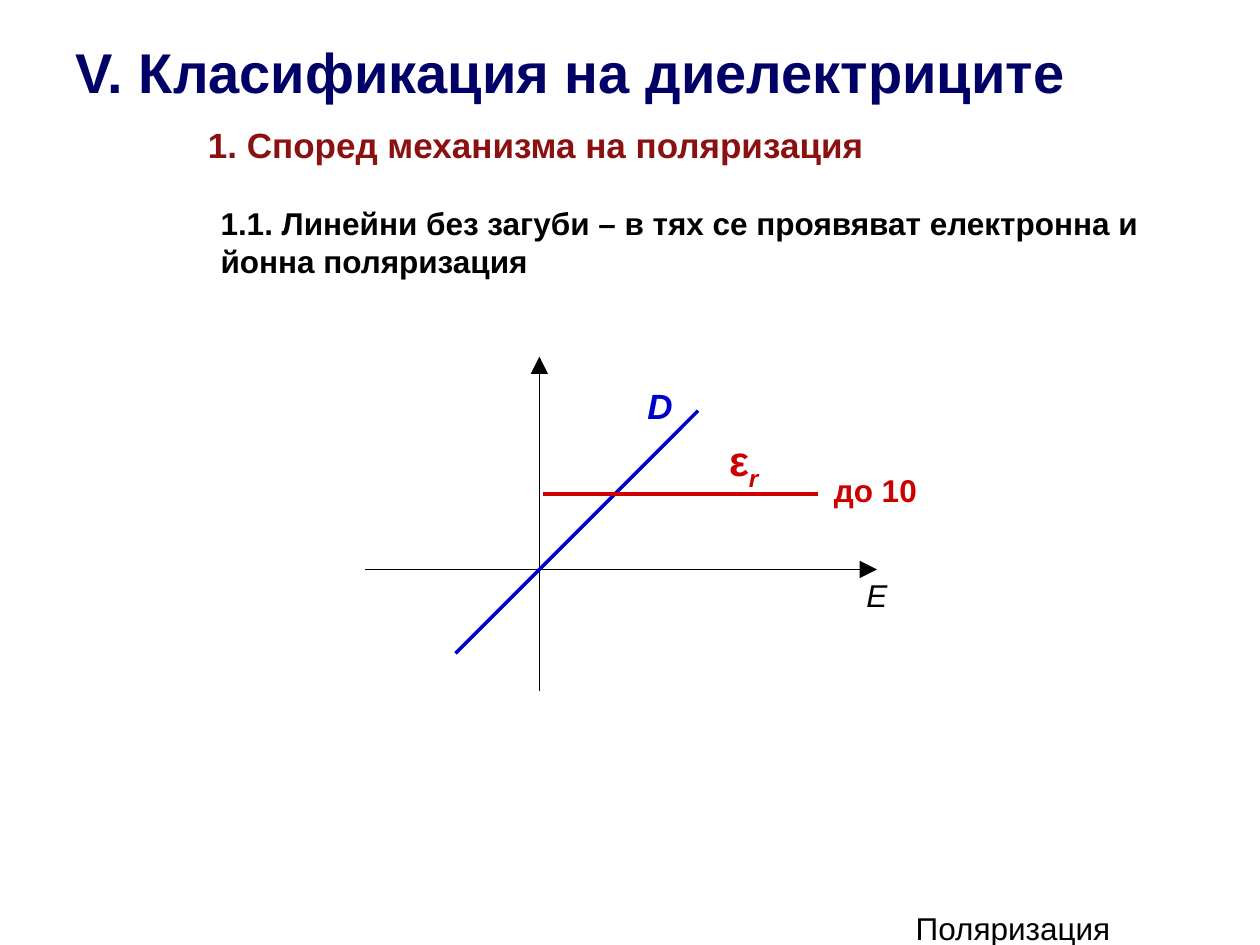
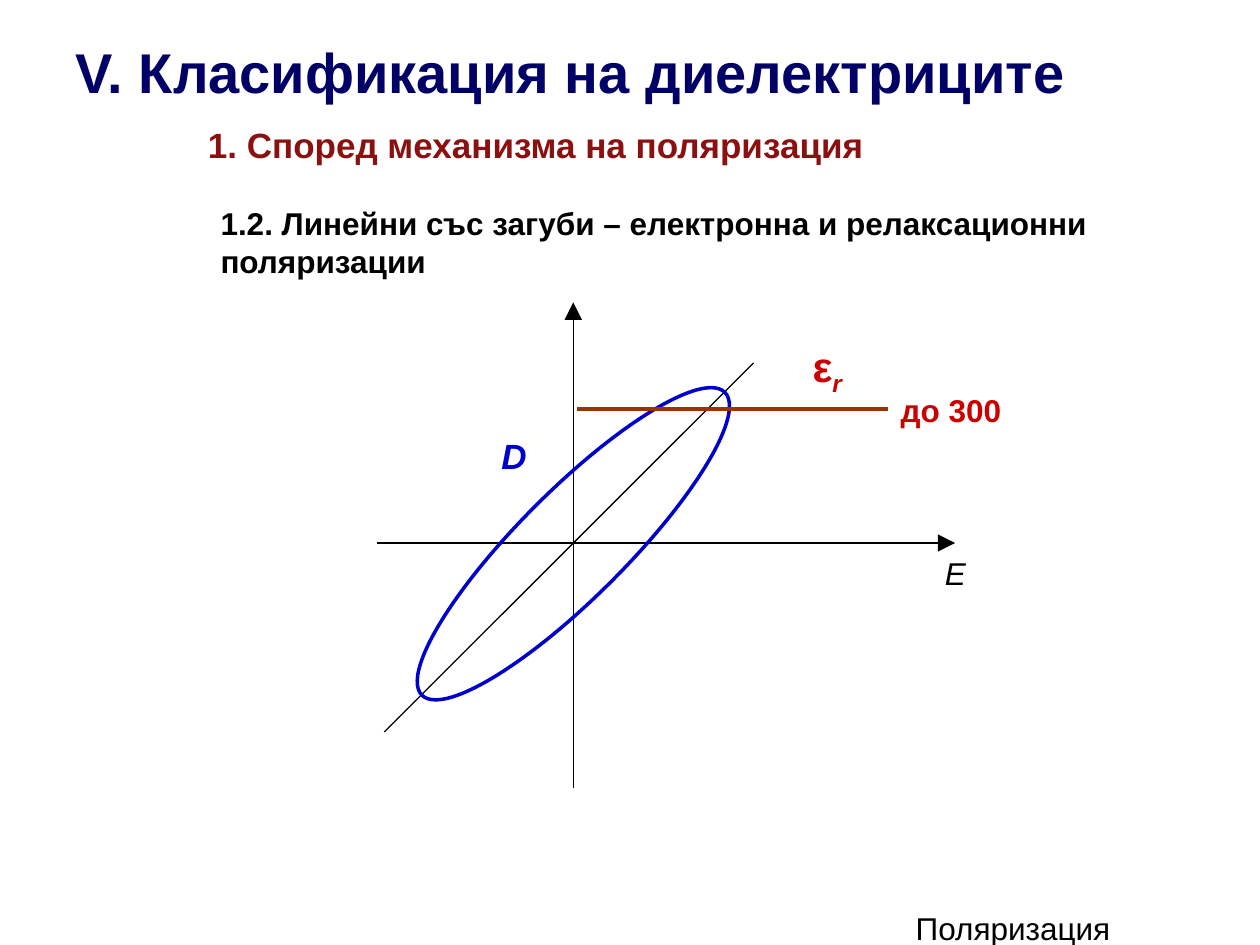
import pptx
import pptx.dml.color
import pptx.enum.shapes
import pptx.enum.text
import pptx.oxml
import pptx.oxml.ns
import pptx.util

Pt = pptx.util.Pt
RGBColor = pptx.dml.color.RGBColor

NAVY = RGBColor(0x00, 0x00, 0x66)
MAROON = RGBColor(0x8B, 0x11, 0x11)
BLACK = RGBColor(0x00, 0x00, 0x00)
BLUE = RGBColor(0x00, 0x00, 0xCC)
RED = RGBColor(0xCC, 0x00, 0x00)
BROWN = RGBColor(0x99, 0x33, 0x00)

TITLE = "V. Класификация на диелектриците"
SUBHEADING = "1. Според механизма на поляризация"
FOOTER = "Поляризация"

STYLES = {
    "title": ({"size": Pt(32), "bold": True, "italic": False}, NAVY),
    "subheading": ({"size": Pt(20), "bold": True, "italic": False}, MAROON),
    "statement": ({"size": Pt(18), "bold": True, "italic": False}, BLACK),
    "footer": ({"size": Pt(18), "bold": False, "italic": False}, BLACK),
    "field": ({"size": Pt(18), "bold": False, "italic": True}, BLACK),
    "induction": ({"size": Pt(20), "bold": True, "italic": True}, BLUE),
    "permittivity": ({"size": Pt(24), "bold": True, "italic": False}, RED),
    "index": ({"size": Pt(24), "bold": True, "italic": True}, RED),
    "limit": ({"size": Pt(18), "bold": True, "italic": False}, RED),
}

TITLE_BOX = (36, 18, 584, 45.4)
SUBHEADING_BOX = (111.6, 67, 392, 31)
STATEMENT_BOX = (118.8, 113, 571.7, 50.4)
FOOTER_BOX = (516.2, 516.2, 168, 19.4)
LABEL_SIZES = {"field": (27, 29), "induction": (29, 31),
               "permittivity": (60, 36), "limit": (76, 29)}

DIAGRAMS = [
    {
        "statement": "1.1. Линейни без загуби – в тях се проявяват електронна и йонна поляризация",
        "axes": [(208.8, 325.4, 501.1, 325.4), (308.2, 394.6, 308.2, 203.8)],
        "diagonal": (398.9, 234.7, 260.3, 373.4, BLUE, 2),
        "loop": None,
        "level": (310.3, 282.4, 467.3, 282.4, RED, 2),
        "labels": {"field": ("E", 488, 325.4), "permittivity": ("ε", 409.5, 244.8),
                   "induction": ("D", 362.9, 216), "limit": ("до 10", 469.4, 265.7)},
    },
    {
        "statement": "1.2. Линейни със загуби – електронна и релаксационни поляризации",
        "axes": [(215.3, 310.3, 545.8, 310.3), (327.6, 450, 327.6, 172.8)],
        "diagonal": (430.6, 207.4, 219.6, 418.3, BLACK, 0.75),
        "loop": (205.2, 280.1, 244.8, 61.2),
        "level": (329.8, 233.6, 507.6, 233.6, BROWN, 2),
        "labels": {"field": ("E", 532.8, 313.2), "permittivity": ("ε", 457.2, 190.8),
                   "induction": ("D", 279.4, 244.8), "limit": ("до 300", 507.6, 219.6)},
    },
]


def add_run(paragraph, text, style):
    run = paragraph.add_run()
    run.text = text
    settings, color = STYLES[style]
    for name, value in {"name": "Arial", **settings}.items():
        setattr(run.font, name, value)
    run.font.color.rgb = color
    return run


def write(shape, box, text, style):
    for name, value in zip(("left", "top", "width", "height"), box):
        setattr(shape, name, Pt(value))
    frame = shape.text_frame
    frame_format = {
        "word_wrap": True,
        "auto_size": pptx.enum.text.MSO_AUTO_SIZE.NONE,
        "vertical_anchor": pptx.enum.text.MSO_ANCHOR.TOP,
        "margin_left": Pt(7.2), "margin_right": Pt(7.2),
        "margin_top": Pt(3.6), "margin_bottom": Pt(3.6),
    }
    for name, value in frame_format.items():
        setattr(frame, name, value)
    paragraph = frame.paragraphs[0]
    properties = paragraph._p.get_or_add_pPr()
    properties.set("marL", "0")
    properties.set("indent", "0")
    pptx.oxml.ns.qn("a:buNone")
    properties.append(pptx.oxml.parse_xml(f"<a:buNone {pptx.oxml.ns.nsdecls('a')}/>"))
    paragraph.alignment = pptx.enum.text.PP_ALIGN.LEFT
    paragraph.space_before = Pt(0)
    add_run(paragraph, text, style)
    return paragraph


def add_text(slide, box, text, style):
    shape = slide.shapes.add_textbox(*map(Pt, box))
    return write(shape, box, text, style)


def add_line(slide, x1, y1, x2, y2, color=BLACK, width=0.75, arrow=False):
    connector = slide.shapes.add_connector(
        pptx.enum.shapes.MSO_CONNECTOR.STRAIGHT, Pt(x1), Pt(y1), Pt(x2), Pt(y2))
    connector.line.color.rgb = color
    connector.line.width = Pt(width)
    namespace = pptx.oxml.ns.nsdecls("a")
    if arrow:
        connector.line._get_or_add_ln().append(
            pptx.oxml.parse_xml(f'<a:tailEnd {namespace} type="triangle" w="lg" len="lg"/>'))
    connector._element.spPr.append(pptx.oxml.parse_xml(f"<a:effectLst {namespace}/>"))


def add_loop(slide, box):
    loop = slide.shapes.add_shape(pptx.enum.shapes.MSO_SHAPE.OVAL, *map(Pt, box))
    loop.rotation = 135
    loop.shadow.inherit = False
    loop.fill.background()
    loop.line.color.rgb = BLUE
    loop.line.width = Pt(2)


def add_diagram(slide, diagram):
    for axis in diagram["axes"]:
        add_line(slide, *axis, arrow=True)
    add_line(slide, *diagram["diagonal"])
    if diagram["loop"]:
        add_loop(slide, diagram["loop"])
    add_line(slide, *diagram["level"])
    for style, (text, left, top) in diagram["labels"].items():
        paragraph = add_text(slide, (left, top, *LABEL_SIZES[style]), text, style)
        if style == "permittivity":
            index = add_run(paragraph, "r", "index")
            index.font._element.set("baseline", "-25000")


def main():
    presentation = pptx.Presentation()
    presentation.slide_width = Pt(720)
    presentation.slide_height = Pt(540)
    two_content = presentation.slide_layouts[3]
    for diagram in DIAGRAMS:
        slide = presentation.slides.add_slide(two_content)
        title, subheading, statement = slide.placeholders
        write(title, TITLE_BOX, TITLE, "title")
        write(subheading, SUBHEADING_BOX, SUBHEADING, "subheading")
        write(statement, STATEMENT_BOX, diagram["statement"], "statement")
        add_text(slide, FOOTER_BOX, FOOTER, "footer")
        add_diagram(slide, diagram)
    presentation.save("out.pptx")


if __name__ == "__main__":
    main()
